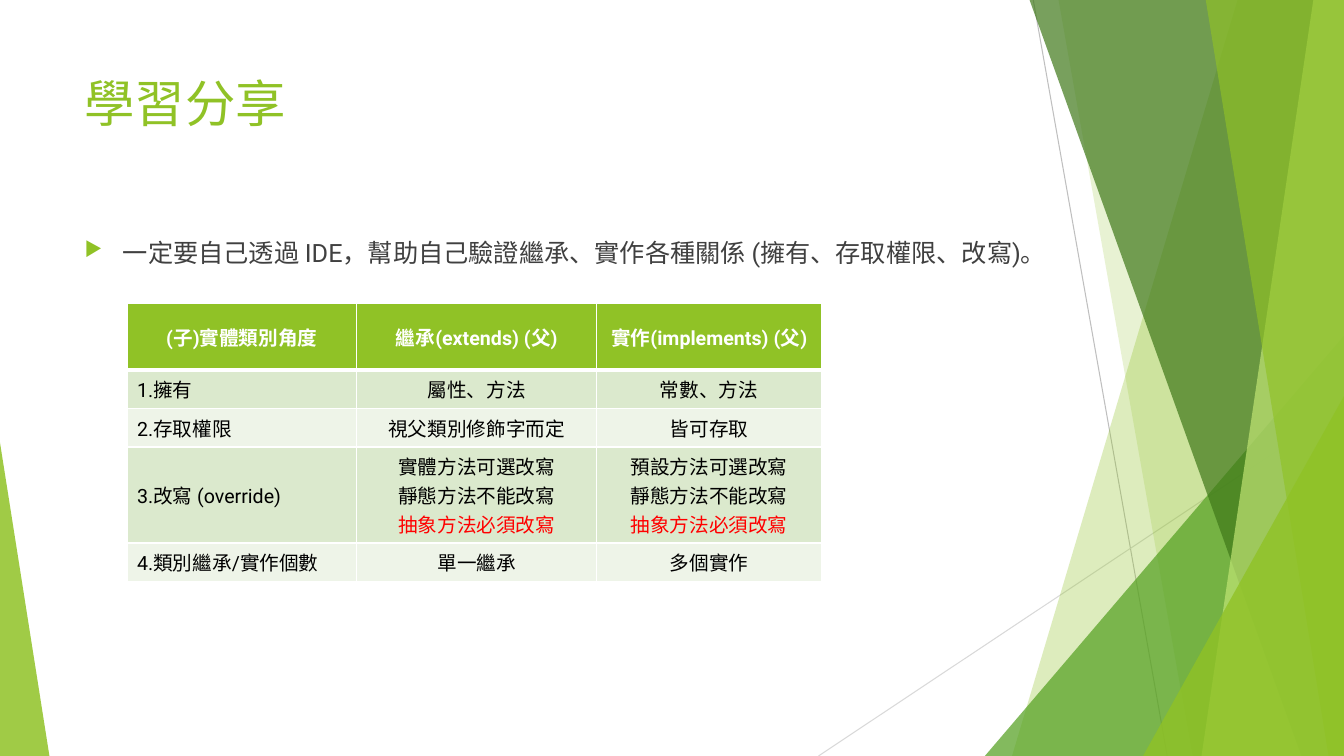
from dataclasses import dataclass

from pptx import Presentation
from pptx import util as u
from pptx.dml.color import RGBColor
from pptx.enum import shapes, text
from pptx.oxml import ns, xmlchemy as xml

FONT = "Roboto"
HEX = {
    "lime": "90C226", "green": "54A021", "moss": "3F7819", "pale": "C0E474",
    "grey": "BFBFBF", "mist": "D9D9D9", "ink": "404040", "black": "000000",
    "white": "FFFFFF", "red": "FF0000", "odd": "DBE9CD", "even": "EEF4E8",
}

deck = Presentation()
deck.slide_width, deck.slide_height = u.Inches(13.33), u.Inches(7.5)
slide = deck.slides.add_slide(deck.slide_layouts[6])


# Lengths are percent of the slide's width (x) and height (y)
def px(share: float) -> int:
    return round(deck.slide_width * share / 100)


def py(share: float) -> int:
    return round(deck.slide_height * share / 100)


def rgb(name: str) -> RGBColor:
    return RGBColor.from_string(HEX[name])


def add(host, tag: str, **attrs):
    node = xml.OxmlElement(tag)
    for key, val in attrs.items():
        node.set(key, str(val))
    host.append(node)
    return node


@dataclass
class Ray:
    x1: float
    y1: float
    x2: float
    y2: float
    color: str

    def draw(self) -> None:
        line = slide.shapes.add_connector(
            shapes.MSO_CONNECTOR.STRAIGHT,
            px(self.x1), py(self.y1), px(self.x2), py(self.y2))
        line.line.color.rgb = rgb(self.color)
        line.line.width = u.Pt(0.75)
        add(line.element.spPr, "a:effectLst")


def tint(shape, color: str, alpha: int) -> None:
    shape.shadow.inherit = False
    shape.line.fill.background()
    shape.fill.solid()
    shape.fill.fore_color.rgb = rgb(color)
    node = shape.element.spPr.find(".//" + ns.qn("a:srgbClr"))
    add(node, "a:alpha", val=alpha * 1000)


@dataclass
class Panel:
    """Full-height band from a slanted left edge to the right margin."""
    top: float
    foot: float
    color: str
    alpha: int

    def draw(self) -> None:
        rise = py(-0.13)
        pen = slide.shapes.build_freeform(px(self.top), rise)
        pen.add_line_segments([
            (px(100), rise), (px(100), py(100)), (px(self.foot), py(100))])
        tint(pen.convert_to_shape(), self.color, self.alpha)


@dataclass
class Wedge:
    """Triangle that stands on the bottom margin."""
    left: float
    right: float
    top: float
    peak: int
    color: str
    alpha: int

    def draw(self) -> None:
        shape = slide.shapes.add_shape(
            shapes.MSO_SHAPE.ISOSCELES_TRIANGLE, px(self.left), py(self.top),
            px(self.right - self.left), py(100 - self.top))
        shape.adjustments[0] = self.peak
        tint(shape, self.color, self.alpha)


@dataclass
class Note:
    left: float
    top: float
    width: float
    height: float
    words: str
    size: int
    color: str

    def draw(self):
        box = slide.shapes.add_textbox(
            px(self.left), py(self.top), px(self.width), py(self.height))
        frame = box.text_frame
        frame.word_wrap = True
        frame.text = self.words
        style(frame.paragraphs[0], self.size, self.color)
        return frame.paragraphs[0]


def style(para, size: int, color: str, bold: bool = False) -> None:
    for run in para.runs:
        run.font.name, run.font.size = FONT, u.Pt(size)
        run.font.bold = bold
        run.font.color.rgb = rgb(color)


# Backdrop, back to front
BACK = [
    Ray(76.88, 0, 86.85, 100, "grey"),
    Ray(100, 53.73, 60.9, 100, "mist"),
    Panel(92.1, 75.3, "lime", 30),
    Panel(78.75, 88.73, "lime", 20),
    Wedge(73.28, 100, 44.4, 1, "green", 72),
    Panel(76.58, 96.83, "moss", 70),
    Panel(97.73, 89.4, "pale", 70),
    Panel(89.7, 98.85, "lime", 65),
    Wedge(85.05, 100, 52.4, 1, "lime", 80),
    Wedge(0, 3.68, 58.53, 0, "lime", 85),
]
for part in BACK:
    part.draw()

# Title and bullet
Note(5.55, 8.93, 70.5, 19.2, "學習分享", 36, "lime").draw()
point = Note(5.55, 31.47, 75.08, 56.53,
             "一定要自己透過 IDE，幫助自己驗證繼承、實作各種關係 (擁有、存取權限、改寫)。",
             18, "ink").draw()
point.line_spacing, point.space_before = 0.8, u.Pt(10)
props = point._p.get_or_add_pPr()
props.set("marL", str(u.Inches(0.38)))
props.set("indent", str(-u.Inches(0.38)))
add(add(props, "a:buClr"), "a:srgbClr", val=HEX["lime"])
add(props, "a:buSzPct", val=80000)
add(props, "a:buChar", char="▶")

# Comparison table
COLS = [17.1, 17.85, 16.73]
ROWS = [8.8, 5.1, 5.1, 12.7, 5.1]
MUST = "抽象方法必須改寫"
CELLS = [
    ["(子)實體類別角度", "繼承(extends) (父)", "實作(implements) (父)"],
    ["1.擁有", "屬性、方法", "常數、方法"],
    ["2.存取權限", "視父類別修飾字而定", "皆可存取"],
    ["3.改寫 (override)", f"實體方法可選改寫\n靜態方法不能改寫\n{MUST}",
     f"預設方法可選改寫\n靜態方法不能改寫\n{MUST}"],
    ["4.類別繼承/實作個數", "單一繼承", "多個實作"],
]


def edge(cell, side: str, width: float) -> None:
    line = add(cell._tc.get_or_add_tcPr(), "a:ln" + side, w=u.Pt(width))
    add(add(line, "a:solidFill"), "a:srgbClr", val=HEX["white"])


def fill(cell, words: str, row: int, col: int) -> None:
    head = row == 0
    for side in "LRTB":
        thick = (head and side == "B") or (row == 1 and side == "T")
        edge(cell, side, 3 if thick else 1)
    cell.fill.solid()
    cell.fill.fore_color.rgb = rgb(
        "lime" if head else "odd" if row % 2 else "even")
    cell.vertical_anchor = text.MSO_ANCHOR.MIDDLE
    cell.text_frame.text = words
    for para in cell.text_frame.paragraphs:
        if head or col:
            para.alignment = text.PP_ALIGN.CENTER
        color = "white" if head else "red" if para.text == MUST else "black"
        style(para, 14, color, head)


grid = slide.shapes.add_table(len(ROWS), len(COLS), px(9.45), py(40.13),
                              px(sum(COLS)), py(sum(ROWS))).table
for col, width in zip(grid.columns, COLS):
    col.width = px(width)
for r, (height, line) in enumerate(zip(ROWS, CELLS)):
    grid.rows[r].height = py(height)
    for c, words in enumerate(line):
        fill(grid.cell(r, c), words, r, c)

deck.save("out.pptx")
